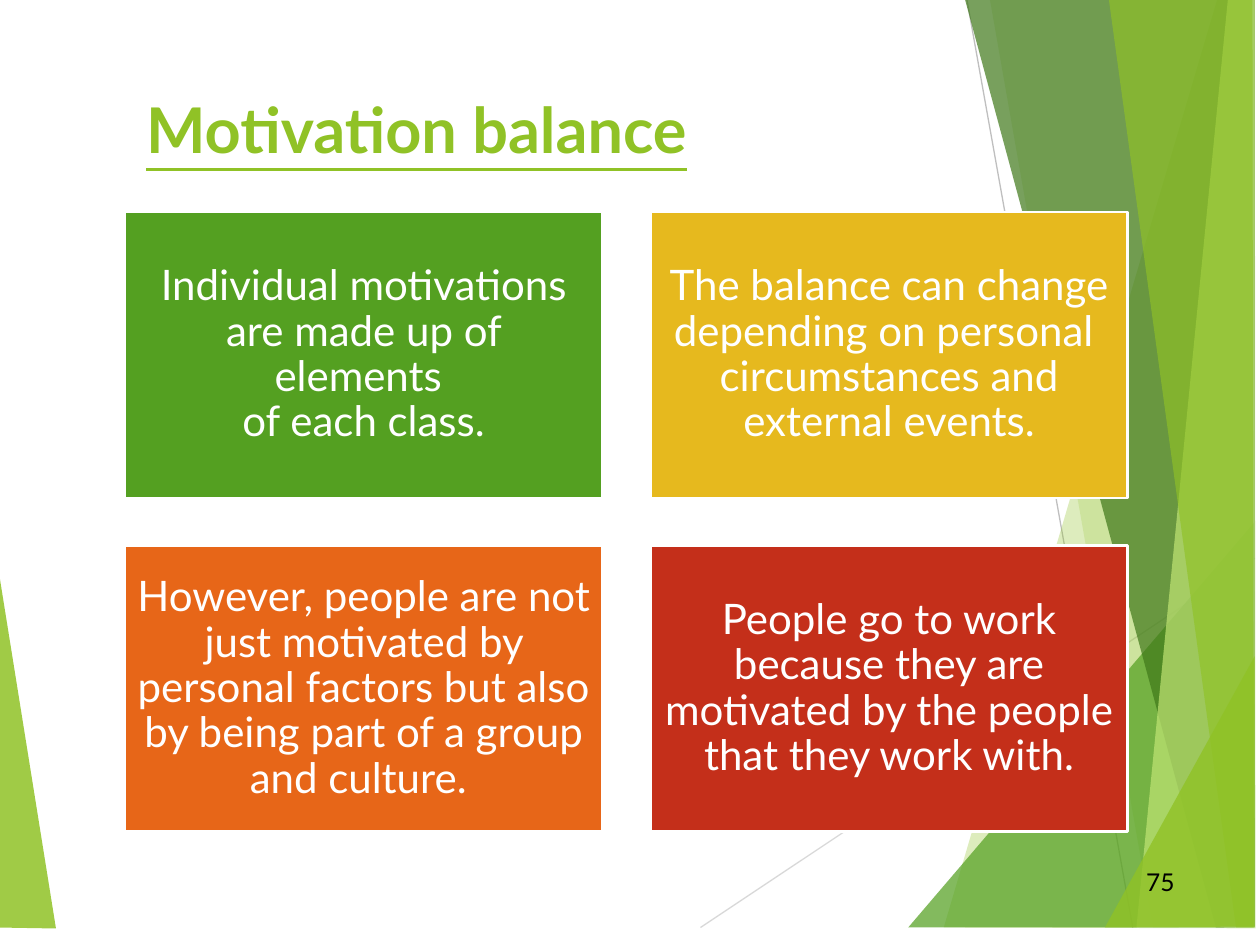
from lxml import etree
from pptx import Presentation
from pptx.dml.color import RGBColor
from pptx.enum import shapes, text
from pptx.oxml.ns import qn
from pptx.util import Pt

FONT = "Lato"
WHITE = RGBColor(0xFF, 0xFF, 0xFF)
BLACK = RGBColor(0, 0, 0)
LIME = RGBColor(0x90, 0xC2, 0x26)
PALE_LIME = RGBColor(0xC0, 0xE4, 0x74)
GREEN = RGBColor(0x54, 0xA0, 0x21)
DARK_GREEN = RGBColor(0x3F, 0x78, 0x19)
YELLOW = RGBColor(0xE6, 0xB9, 0x1E)
ORANGE = RGBColor(0xE7, 0x66, 0x18)
RED = RGBColor(0xC4, 0x2F, 0x1A)
LIGHT_GREY = RGBColor(0xD9, 0xD9, 0xD9)
GREY = RGBColor(0xBF, 0xBF, 0xBF)

# Colour, opacity in percent, corners in points
LEFT_FACET = (LIME, 85, [(-4, 306), (32, 530.6), (-4, 530)])
RIGHT_FACETS = [
    (LIME, 30, [(698.4, -10), (539.3, 530), (717.5, 530.5), (717, -10)]),
    (LIME, 20, [(563.8, -10.8), (658.8, 530), (717, 530), (717, -10.8)]),
    (GREEN, 72, [(519, 530), (716.5, 298.8), (717, 530)]),
    (DARK_GREEN, 70, [(548.6, -10.8), (694.8, 530), (717, 529.5), (717, -10.8)]),
    (PALE_LIME, 70, [(702.7, -10.8), (649.4, 530), (717, 530), (717, -10.8)]),
    (LIME, 65, [(632.2, -10.8), (706.3, 530), (716.4, 530), (715.7, -10.8)]),
    (LIME, 80, [(631.4, 530), (717, 375), (717, 529.5)]),
]
RAYS = [
    (LIGHT_GREY, (400.3, 530), (717, 319)),
    (GREY, (550.8, -10), (647.3, 530)),
]
STATEMENTS = [
    (GREEN, "Individual motivations are made up of elements \nof each class."),
    (YELLOW, "The balance can change depending on personal \n"
             "circumstances and external events."),
    (ORANGE, "However, people are not just motivated by personal factors "
             "but also by being part of a group and culture. "),
    (RED, "People go to work because they are motivated by the people "
          "that they work with."),
]


def set_attributes(target, values):
    for name, value in values.items():
        setattr(target, name, value)


def write(shape, words, color, frame_format, paragraph_format, font_format):
    frame = shape.text_frame
    set_attributes(frame, {"word_wrap": True, **frame_format})
    paragraph = frame.paragraphs[0]
    paragraph.text = words
    set_attributes(paragraph, paragraph_format)
    for run in paragraph.runs:
        set_attributes(run.font, {"name": FONT, **font_format})
        run.font.color.rgb = color


def add_facet(slide, origin, color, opacity, corners):
    left, top = origin
    points = [(Pt(left + x), Pt(top + y)) for x, y in corners]
    builder = slide.shapes.build_freeform(*points[0], scale=1.0)
    builder.add_line_segments(points[1:], close=True)
    shape = builder.convert_to_shape()
    shape.shadow.inherit = False
    shape.line.fill.background()
    shape.fill.solid()
    shape.fill.fore_color.rgb = color
    color_element = shape._element.spPr.find(qn("a:solidFill"))[0]
    etree.SubElement(color_element, qn("a:alpha"), val=str(opacity * 1000))


def add_ray(slide, origin, color, start, end):
    left, top = origin
    ray = slide.shapes.add_connector(
        shapes.MSO_CONNECTOR.STRAIGHT,
        *(Pt(v) for v in (left + start[0], top + start[1],
                          left + end[0], top + end[1])))
    ray.line.color.rgb = color
    ray.line.width = Pt(0.75)
    etree.SubElement(ray._element.spPr, qn("a:effectLst"))


def add_backdrop(slide, origin):
    add_facet(slide, origin, *LEFT_FACET)
    for ray in RAYS:
        add_ray(slide, origin, *ray)
    for facet in RIGHT_FACETS:
        add_facet(slide, origin, *facet)


def place_title(slide, left, top, width, height):
    title = slide.shapes.title
    set_attributes(title, {"left": Pt(left), "top": Pt(top),
                           "width": Pt(width), "height": Pt(height)})
    write(title, "Motivation balance", LIME,
          {"vertical_anchor": text.MSO_ANCHOR.TOP,
           "auto_size": text.MSO_AUTO_SIZE.NONE},
          {"alignment": text.PP_ALIGN.LEFT},
          {"size": Pt(36), "bold": True, "underline": True})


def add_page_number(slide, left, top, width, height):
    box = slide.shapes.add_textbox(Pt(left), Pt(top), Pt(width), Pt(height))
    write(box, "75", BLACK,
          {"vertical_anchor": text.MSO_ANCHOR.MIDDLE},
          {"alignment": text.PP_ALIGN.RIGHT},
          {"size": Pt(14)})


def add_statement_grid(slide, left, top, width, height, gap=27.3, columns=2):
    rows = len(STATEMENTS) // columns
    card_width = (width - gap * (columns - 1)) / columns
    card_height = (height - gap * (rows - 1)) / rows
    for index, (color, words) in enumerate(STATEMENTS):
        row, column = divmod(index, columns)
        card = slide.shapes.add_shape(
            shapes.MSO_SHAPE.RECTANGLE,
            Pt(left + column * (card_width + gap)),
            Pt(top + row * (card_height + gap)),
            Pt(card_width), Pt(card_height))
        card.shadow.inherit = False
        card.fill.solid()
        card.fill.fore_color.rgb = color
        card.line.color.rgb = WHITE
        card.line.width = Pt(1.5)
        margins = {f"margin_{side}": Pt(7.2)
                   for side in ("left", "top", "right", "bottom")}
        write(card, words, WHITE,
              {"vertical_anchor": text.MSO_ANCHOR.MIDDLE, **margins},
              {"alignment": text.PP_ALIGN.CENTER, "line_spacing": 0.9},
              {"size": Pt(24)})


def main():
    presentation = Presentation()
    presentation.slide_width, presentation.slide_height = Pt(720), Pt(540)
    title_only = presentation.slide_layouts[5]
    slide = presentation.slides.add_slide(title_only)
    add_backdrop(slide, (0, 0))
    place_title(slide, 76.3, 48.2, 602, 86.4)
    add_page_number(slide, 638, 489.6, 40.3, 28.8)
    add_statement_grid(slide, 71.3, 121.2, 573.2, 354.1)
    presentation.save("out.pptx")


if __name__ == "__main__":
    main()
